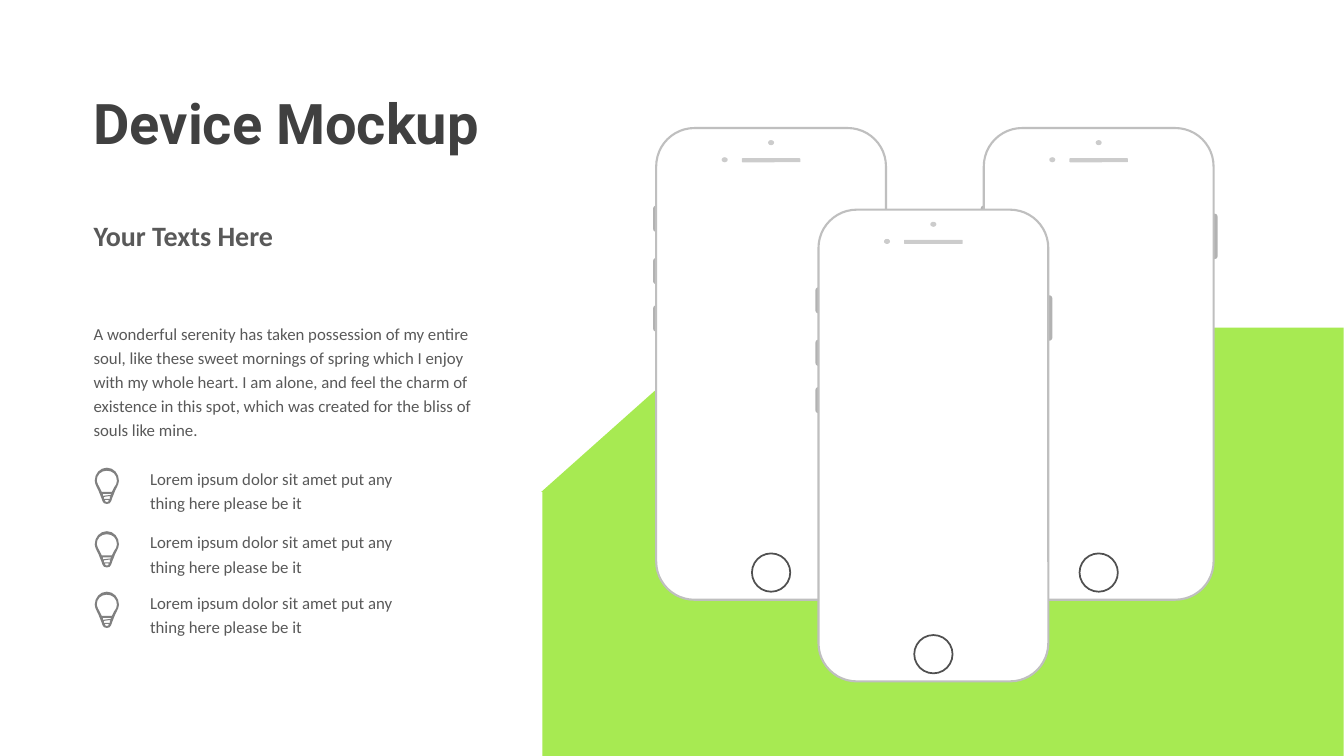
from dataclasses import dataclass

from lxml.etree import SubElement
from pptx import Presentation
from pptx.dml.color import RGBColor
from pptx.enum.shapes import MSO_SHAPE as Shp
from pptx.enum.text import MSO_AUTO_SIZE as AutoSize
from pptx.oxml.ns import qn
from pptx.util import Inches, Pt

Point = tuple[float, float]


@dataclass(frozen=True)
class Part:
    kind: Shp
    x: float
    y: float
    w: float
    h: float
    fill: str | None = None
    alpha: int = 100
    line: str | None = None
    weight: float = 0


@dataclass(frozen=True)
class Phone:
    x: float
    y: float
    volume_buttons: int
    power_button: bool


@dataclass(frozen=True)
class Text:
    x: float
    y: float
    w: float
    h: float
    words: str
    size: float = 12
    font: str = "Calibri"
    color: str = "595959"
    bold: bool = False
    spacing: float | None = None
    wrap: bool = True


ROUND, OVAL = Shp.ROUNDED_RECTANGLE, Shp.OVAL
POWER = Part(ROUND, 2.15, 0.85, 0.17, 0.45, "000000", 30)
VOLUMES = [Part(ROUND, -0.03, y, 0.17, 0.26, "000000", 30) for y in (0.77, 1.29, 1.76)]
FACE = [
    Part(ROUND, 0, 0, 2.28, 4.68, "FFFFFF", line="BFBFBF", weight=1.5),
    Part(OVAL, 0.95, 4.22, 0.38, 0.38, line="505050", weight=1.25),
    Part(ROUND, 0.85, 0.3, 0.58, 0.04, "000000", 20),
    Part(OVAL, 0.65, 0.29, 0.06, 0.05, "000000", 20),
    Part(OVAL, 1.11, 0.12, 0.06, 0.05, "000000", 20),
]
PHONES = [
    Phone(9.76, 1.27, 1, True),
    Phone(6.51, 1.27, 3, False),
    Phone(8.12, 2.08, 3, True),
]

BULB_W, BULB_H = 24, 36
BULB = [
    [(17, 24), (7, 24), (6, 22, 6, 21, 5, 20), (4, 18, 2, 15, 2, 13),
     (2, 7, 6, 3, 12, 3), (18, 3, 22, 7, 22, 13), (22, 15, 21, 18, 19, 20),
     (18, 21, 18, 22, 17, 24)],
    [(12, 34), (11, 34, 10, 34, 10, 32), (14, 32), (14, 34, 13, 34, 12, 34)],
    [(8, 28), (8, 27, 8, 27, 8, 26), (16, 26), (16, 26, 16, 27, 16, 27),
     (16, 27, 8, 28, 8, 28)],
    [(15, 31), (9, 31), (9, 31, 9, 30, 9, 29), (9, 29, 9, 29, 9, 29), (16, 28),
     (15, 29, 15, 29, 15, 29), (15, 30, 15, 30, 15, 31)],
    [(12, 0), (5, 0, 0, 6, 0, 13), (0, 17, 4, 22, 5, 26), (8, 32, 7, 36, 12, 36),
     (17, 36, 16, 32, 19, 26), (20, 22, 24, 17, 24, 13), (24, 6, 19, 0, 12, 0)],
]
BACKDROP = [(7.2, 3.25), (13.33, 3.25), (13.33, 7.5), (5.38, 7.5), (5.38, 4.88),
            (5.37, 4.88)]

TITLE = Text(0.83, 0.83, 4.47, 0.77, "Device Mockup", 40, "Roboto", "404040", True)
BODY = Text(
    0.83, 3.12, 4.2, 1.31,
    "A wonderful serenity has taken possession of my entire soul, like these sweet "
    "mornings of spring which I enjoy with my whole heart. I am alone, and feel the "
    "charm of existence in this spot, which was created for the bliss of souls like mine.",
    spacing=1.2,
)
SUBTITLE = Text(0.83, 2.12, 1.98, 0.44, "Your Texts Here", 20, bold=True, wrap=False)
ITEM = "Lorem ipsum dolor sit amet put any thing here please be it"
ITEM_TOPS = (4.56, 5.19, 5.79)


def rgb(color: str) -> RGBColor:
    return RGBColor.from_string(color)


def paint(sp, fill: str | None, alpha: int = 100) -> None:
    sp.shadow.inherit = False
    if fill is None:
        sp.fill.background()
        return
    sp.fill.solid()
    sp.fill.fore_color.rgb = rgb(fill)
    if alpha < 100:
        clr = sp._element.spPr.find(qn("a:solidFill"))[0]
        SubElement(clr, qn("a:alpha"), val=str(alpha * 1000))


def add_part(shapes, part: Part, x: float, y: float) -> None:
    box = (Inches(v) for v in (x + part.x, y + part.y, part.w, part.h))
    sp = shapes.add_shape(part.kind, *box)
    paint(sp, part.fill, part.alpha)
    if part.line is None:
        sp.line.fill.background()
    else:
        sp.line.color.rgb = rgb(part.line)
        sp.line.width = Pt(part.weight)


def add_phone(shapes, phone: Phone) -> None:
    group = shapes.add_group_shape()
    parts = [POWER] * phone.power_button + VOLUMES[:phone.volume_buttons] + FACE
    for part in parts:
        add_part(group.shapes, part, phone.x, phone.y)


def add_text(shapes, text: Text) -> None:
    tb = shapes.add_textbox(*(Inches(v) for v in (text.x, text.y, text.w, text.h)))
    tf = tb.text_frame
    tf.word_wrap = text.wrap
    tf.auto_size = AutoSize.SHAPE_TO_FIT_TEXT
    p = tf.paragraphs[0]
    p.line_spacing = text.spacing
    r = p.add_run()
    r.text = text.words
    r.font.color.rgb = rgb(text.color)
    formats = {"size": Pt(text.size), "name": text.font, "bold": text.bold}
    for name, value in formats.items():
        setattr(r.font, name, value)


def add_outline(shapes, points: list[Point], fill: str):
    corners = [(Inches(x), Inches(y)) for x, y in points]
    builder = shapes.build_freeform(*corners[0])
    builder.add_line_segments(corners[1:], close=True)
    sp = builder.convert_to_shape()
    paint(sp, fill)
    sp.line.fill.background()
    return sp


def add_command(path, tag: str, numbers: tuple) -> None:
    command = SubElement(path, qn(tag))
    for x, y in zip(numbers[::2], numbers[1::2]):
        SubElement(command, qn("a:pt"), x=str(x * 100), y=str(y * 100))


def add_bulb(shapes, x: float, y: float) -> None:
    right, bottom = x + BULB_W / 100, y + BULB_H / 100
    sp = add_outline(shapes, [(x, y), (right, y), (right, bottom), (x, bottom)], "808080")
    path = next(sp._element.iter(qn("a:path")))
    for command in list(path):
        path.remove(command)
    path.set("w", str(BULB_W * 100))
    path.set("h", str(BULB_H * 100))
    for start, *segments in BULB:
        add_command(path, "a:moveTo", start)
        for seg in segments:
            add_command(path, "a:lnTo" if len(seg) == 2 else "a:cubicBezTo", seg)
        SubElement(path, qn("a:close"))


def add_item(shapes, top: float) -> None:
    group = shapes.add_group_shape()
    add_text(group.shapes, Text(1.39, top, 2.81, 0.57, ITEM, spacing=1.2))
    add_bulb(group.shapes, 0.94, top + 0.08)


def main() -> None:
    prs = Presentation()
    prs.slide_width, prs.slide_height = Inches(40 / 3), Inches(7.5)
    s = prs.slides.add_slide(prs.slide_layouts[6])
    add_outline(s.shapes, BACKDROP, "A7EA52")
    add_text(s.shapes, TITLE)
    add_phone(s.shapes, PHONES[0])
    add_text(s.shapes, BODY)
    add_text(s.shapes, SUBTITLE)
    add_phone(s.shapes, PHONES[1])
    for top in ITEM_TOPS:
        add_item(s.shapes, top)
    add_phone(s.shapes, PHONES[2])
    prs.save("out.pptx")


if __name__ == "__main__":
    main()
